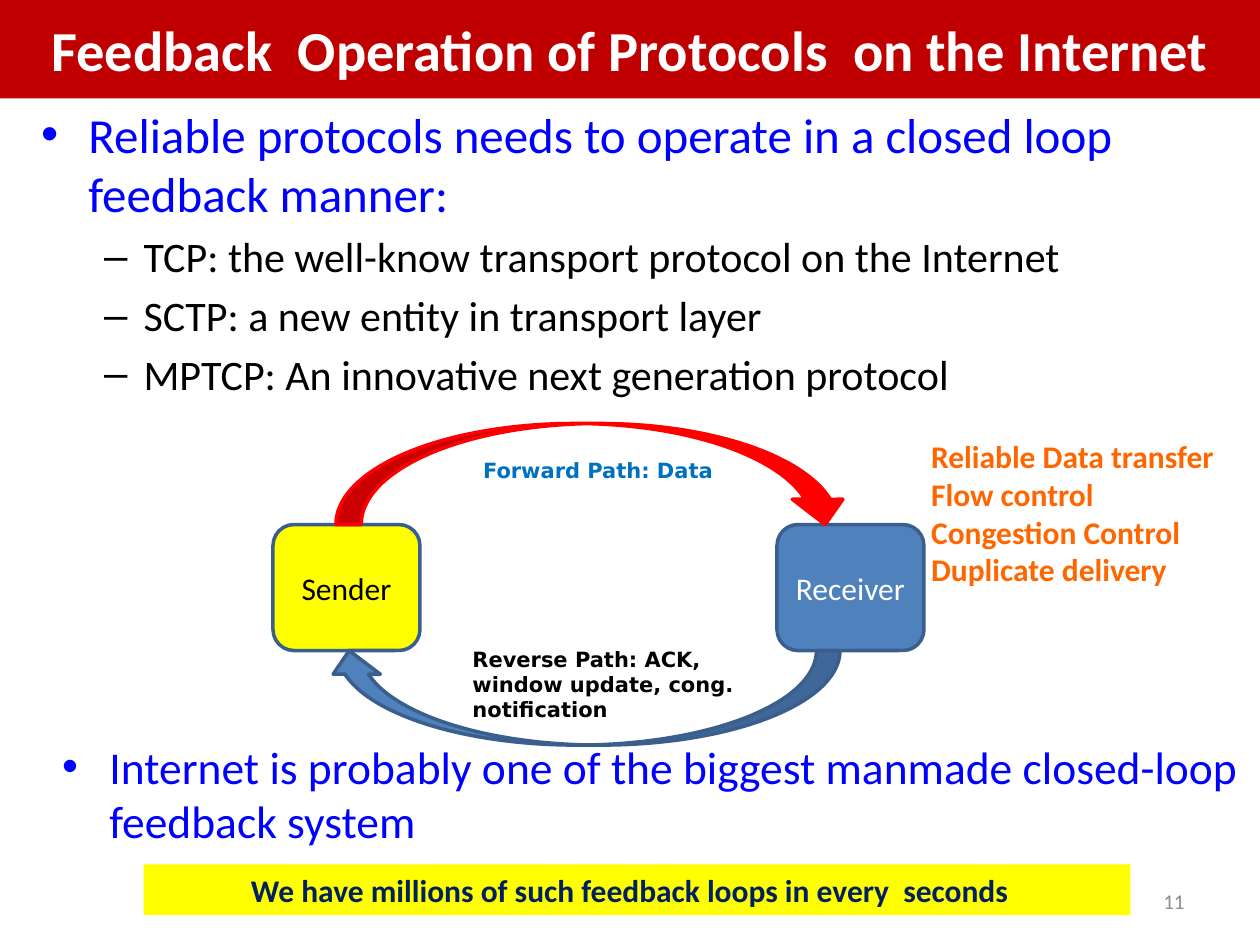
from pptx import Presentation
from pptx import util as u
from pptx.dml.color import RGBColor
from pptx.enum import shapes, text
from pptx.oxml.ns import qn
from lxml import etree

Pt = u.Pt
SHAPE = shapes.MSO_SHAPE
ALIGN = text.PP_ALIGN
MIDDLE = text.MSO_ANCHOR.MIDDLE

WHITE = RGBColor(0xFF, 0xFF, 0xFF)
BLACK = RGBColor(0, 0, 0)
DARK_RED = RGBColor(0xC0, 0, 0)
RED = RGBColor(0xFF, 0, 0)
YELLOW = RGBColor(0xFF, 0xFF, 0)
BLUE = RGBColor(0, 0, 0xFF)
STEEL = RGBColor(0x4F, 0x81, 0xBD)
STEEL_DARK = RGBColor(0x3A, 0x5F, 0x8C)
SKY = RGBColor(0, 0x70, 0xC0)
NAVY = RGBColor(0, 0x20, 0x60)
ORANGE = RGBColor(0xFF, 0x66, 0)
GREY = RGBColor(0x8C, 0x8C, 0x8C)

NO_INSETS = dict(margin_left=0, margin_right=0, margin_top=0, margin_bottom=0)
BULLETS = {0: ("•", 27, -27), 1: ("–", 58.5, -22.5)}  # mark, margin, indent


def set_attributes(target, values):
    for name, value in values.items():
        setattr(target, name, value)


def format_run(run, size, color, bold=False, name="Calibri"):
    set_attributes(run.font, dict(size=Pt(size), bold=bold, name=name))
    run.font.color.rgb = color


def write(shape, lines, size, color, align=ALIGN.LEFT, bold=False, name="Calibri", **frame_values):
    """Fill a shape with one formatted paragraph per line."""
    frame = shape.text_frame
    set_attributes(frame, dict(word_wrap=True) | frame_values)
    for index, line in enumerate(lines):
        paragraph = frame.add_paragraph() if index else frame.paragraphs[0]
        paragraph.alignment = align
        run = paragraph.add_run()
        run.text = line
        format_run(run, size, color, bold, name)


def add_text(parent, box, lines, size, color, **values):
    shape = parent.add_textbox(*map(Pt, box))
    write(shape, lines, size, color, **values)


def add_bullets(parent, box, items):
    """Items are (level, size, color, wording)."""
    frame = parent.add_textbox(*map(Pt, box)).text_frame
    frame.word_wrap = True
    for index, (level, size, color, wording) in enumerate(items):
        paragraph = frame.add_paragraph() if index else frame.paragraphs[0]
        mark, margin, indent = BULLETS[level]
        paragraph.level = level
        properties = paragraph._p.get_or_add_pPr()
        properties.set("marL", str(Pt(margin)))
        properties.set("indent", str(Pt(indent)))
        etree.SubElement(properties, qn("a:buFont")).set("typeface", "Arial")
        etree.SubElement(properties, qn("a:buChar")).set("char", mark)
        if index:
            paragraph.space_before = Pt(size * 0.2)
        run = paragraph.add_run()
        run.text = wording
        format_run(run, size, color)


def add_filled(parent, kind, box, fill, line=None):
    shape = parent.add_shape(kind, *map(Pt, box))
    shape.shadow.inherit = False
    shape.fill.solid()
    shape.fill.fore_color.rgb = fill
    if line is None:
        shape.line.fill.background()
    else:
        shape.line.color.rgb = line
        shape.line.width = Pt(2)
    return shape


def add_title(slide, wording):
    title = slide.shapes.title
    set_attributes(title, dict(left=0, top=0, width=Pt(720), height=Pt(56.2)))
    title.fill.solid()
    title.fill.fore_color.rgb = DARK_RED
    write(title, [wording], 32.3, WHITE, align=ALIGN.CENTER, bold=True,
          vertical_anchor=MIDDLE, auto_size=text.MSO_AUTO_SIZE.NONE)


def add_loop(slide):
    """Sender and receiver joined by the forward and reverse paths."""
    parts = slide.shapes.add_group_shape().shapes
    for left, wording, fill, color in ((156, "Sender", YELLOW, BLACK),
                                       (444, "Receiver", STEEL, WHITE)):
        node = add_filled(parts, SHAPE.ROUNDED_RECTANGLE, (left, 299.75, 84, 72), fill, STEEL_DARK)
        write(node, [wording], 18, color, align=ALIGN.CENTER, vertical_anchor=MIDDLE)

    add_filled(parts, SHAPE.CURVED_DOWN_ARROW, (192, 242, 294, 57.75), RED, RED)
    reverse = add_filled(parts, SHAPE.CURVED_DOWN_ARROW, (186, 371.75, 294, 54), STEEL, STEEL_DARK)
    reverse.rotation = 180

    labels = (((276, 261.5, 132, 14.5), "Forward Path: Data", SKY),
              ((270, 369.5, 168.5, 44), "Reverse Path: ACK, window update, cong. notification", BLACK))
    for box, wording, color in labels:
        add_text(parts, box, [wording], 12, color, bold=True, name="DejaVu Sans", **NO_INSETS)


def main():
    presentation = Presentation()
    presentation.slide_width, presentation.slide_height = Pt(720), Pt(540)
    slide = presentation.slides.add_slide(presentation.slide_layouts[5])

    add_title(slide, "Feedback  Operation of Protocols  on the Internet")

    # Protocols
    add_bullets(slide.shapes, (16.5, 56.2, 692, 211), [
        (0, 28, BLUE, "Reliable protocols needs to operate in a closed loop feedback manner:"),
        (1, 24, BLACK, "TCP: the well-know transport protocol on the Internet"),
        (1, 24, BLACK, "SCTP: a new entity in transport layer"),
        (1, 24, BLACK, "MPTCP: An innovative next generation protocol"),
    ])

    add_loop(slide)

    # Closing statement and banner
    add_bullets(slide.shapes, (28.5, 418.5, 692, 72), [
        (0, 26, BLUE, "Internet is probably one of the biggest manmade closed-loop feedback system"),
    ])
    banner = add_filled(slide.shapes, SHAPE.RECTANGLE, (82, 494, 564, 29), YELLOW)
    write(banner, ["We have millions of such feedback loops in every  seconds"], 18, NAVY,
          align=ALIGN.CENTER, bold=True, vertical_anchor=MIDDLE, margin_right=Pt(15.2))

    # Slide number
    add_text(slide.shapes, (516, 500.5, 168, 28.75), ["11"], 12, GREY,
             align=ALIGN.RIGHT, vertical_anchor=MIDDLE)

    # Receiver functions
    add_text(slide.shapes, (525, 246.25, 179.5, 94.5),
             ["Reliable Data transfer", "Flow control", "Congestion Control", "Duplicate delivery"],
             18, ORANGE, bold=True, word_wrap=False)

    presentation.save("out.pptx")


if __name__ == "__main__":
    main()
